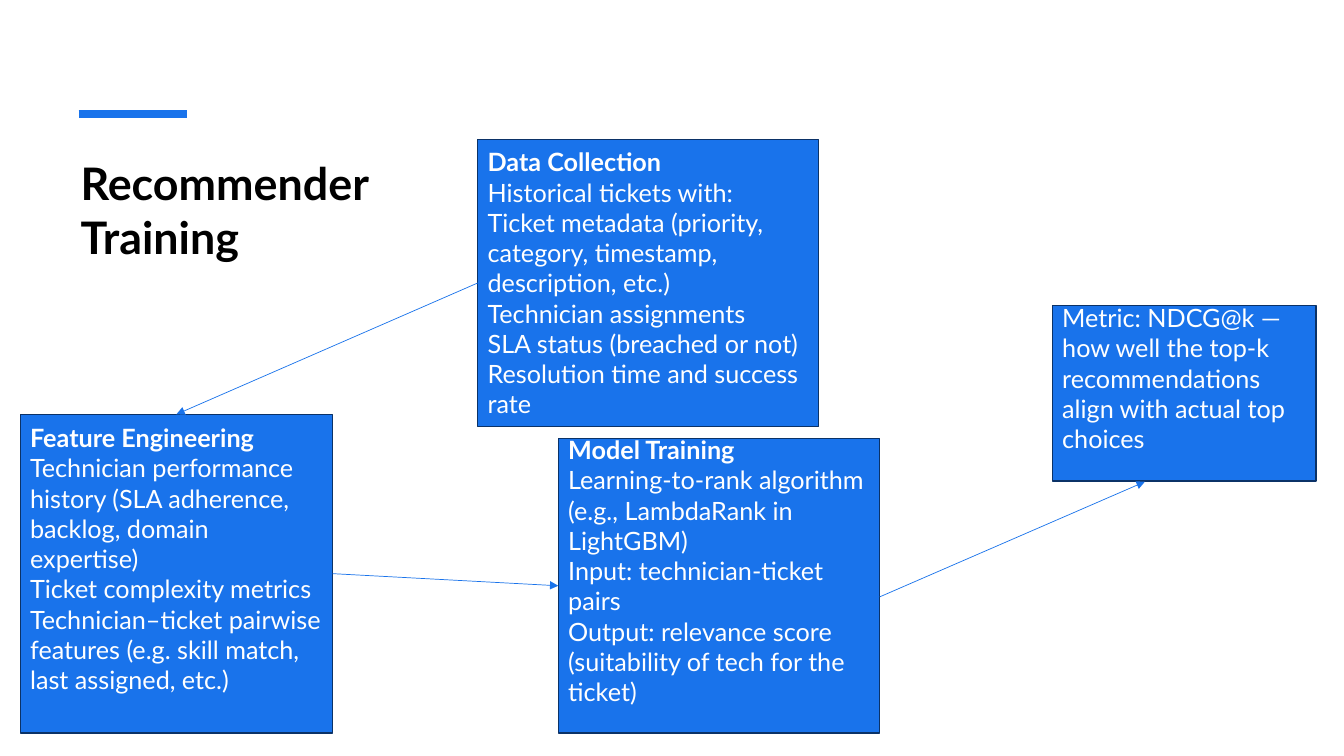
from lxml.etree import SubElement
from pptx import Presentation
from pptx.dml.color import RGBColor
from pptx.enum.shapes import MSO_CONNECTOR, MSO_SHAPE
from pptx.enum.text import MSO_ANCHOR, PP_ALIGN
from pptx.oxml.ns import qn
from pptx.util import Cm, Pt

BLUE = RGBColor(0x19, 0x73, 0xEB)
NAVY = RGBColor(0x0B, 0x32, 0x67)
WHITE = RGBColor(0xFF, 0xFF, 0xFF)
BLACK = RGBColor(0x00, 0x00, 0x00)

# Name: (left, top, width, height, bottom inset), heading, lines; all in cm
STEPS = {
    "data": ((12.04, 3.51, 8.59, 7.24, 0.13), "Data Collection", [
        "Historical tickets with:",
        "Ticket metadata (priority, category, timestamp, description, etc.)",
        "Technician assignments",
        "SLA status (breached or not)",
        "Resolution time and success rate",
    ]),
    "model": ((14.07, 11.05, 8.1, 7.42, 0.89), "Model Training", [
        "Learning-to-rank algorithm (e.g., LambdaRank in LightGBM)",
        "Input: technician-ticket pairs",
        "Output: relevance score (suitability of tech for the ticket)",
    ]),
    "feature": ((0.51, 10.44, 7.87, 8.03, 0.89), "Feature Engineering", [
        "Technician performance history (SLA adherence, backlog, domain expertise)",
        "Ticket complexity metrics",
        "Technician–ticket pairwise features (e.g. skill match, last assigned, etc.)",
    ]),
    "metric": ((26.52, 7.7, 6.65, 4.42, 0.89), None, [
        "Metric: NDCG@k — how well the top-k recommendations "
        "align with actual top choices",
    ]),
}


def write(para, text, color, **style):
    run = para.add_run()
    run.text = text
    run.font.color.rgb = color
    for name, value in {"name": "Lato", **style}.items():
        setattr(run.font, name, value)


def draw_line(start, end, width, arrow=True):
    line = slide.shapes.add_connector(
        MSO_CONNECTOR.STRAIGHT, *(Cm(n) for n in start + end))
    line.line.color.rgb = BLUE
    line.line.width = Pt(width)
    if arrow:
        SubElement(line.line._get_or_add_ln(), qn("a:tailEnd"), type="triangle")
    SubElement(line._element.spPr, qn("a:effectLst"))
    return line


deck = Presentation()
deck.slide_width, deck.slide_height = Cm(33.87), Cm(19.05)
slide = deck.slides.add_slide(deck.slide_layouts[6])

# Title
draw_line((1.98, 2.87), (4.7, 2.87), 6, arrow=False)
title = slide.shapes.add_textbox(Cm(1.78), Cm(3.81), Cm(8.38), Cm(1.17))
title.text_frame.word_wrap = True
write(title.text_frame.paragraphs[0], "Recommender Training", BLACK,
      size=Pt(32), bold=True)

# Steps
boxes = {}
for key, (place, head, lines) in STEPS.items():
    *spot, inset = (Cm(n) for n in place)
    box = boxes[key] = slide.shapes.add_shape(MSO_SHAPE.RECTANGLE, *spot)
    box.shadow.inherit = False
    box.fill.solid()
    box.fill.fore_color.rgb = BLUE
    box.line.color.rgb = NAVY
    box.line.width = Pt(1)
    frame = box.text_frame
    frame.word_wrap = True
    frame.vertical_anchor = MSO_ANCHOR.MIDDLE
    frame.margin_bottom = inset
    texts = [head] + lines if head else lines
    for i, text in enumerate(texts):
        para = frame.add_paragraph() if i else frame.paragraphs[0]
        para.alignment = PP_ALIGN.LEFT
        write(para, text, WHITE, size=Pt(18), bold=text == head)

# Arrows
for start, out, end, into in [("data", 1, "feature", 0),
                              ("feature", 3, "model", 1)]:
    arrow = draw_line((0, 0), (1, 1), 0.5)
    arrow.begin_connect(boxes[start], out)
    arrow.end_connect(boxes[end], into)
draw_line((22.17, 15.04), (28.85, 12.14), 0.5)

deck.save("out.pptx")
